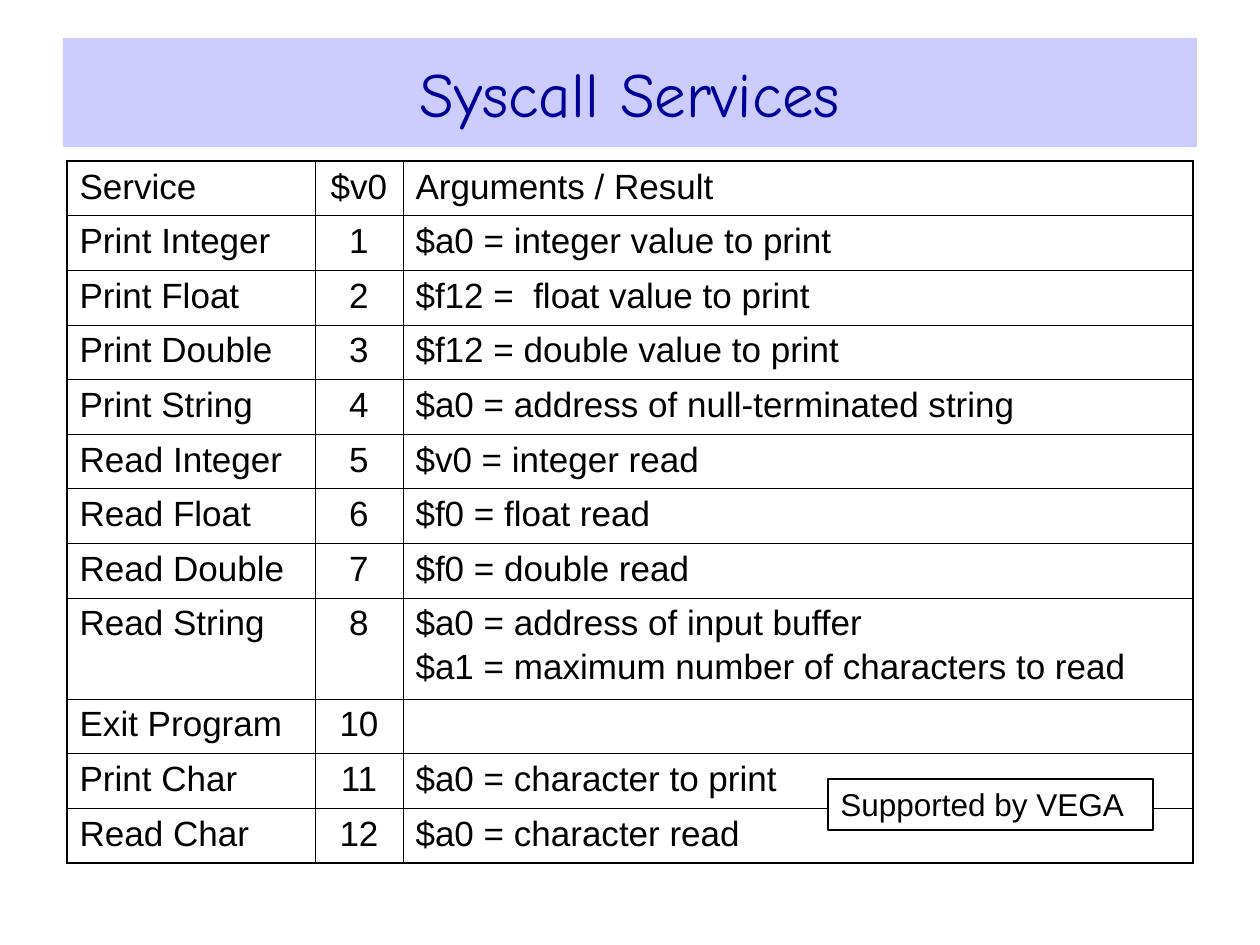
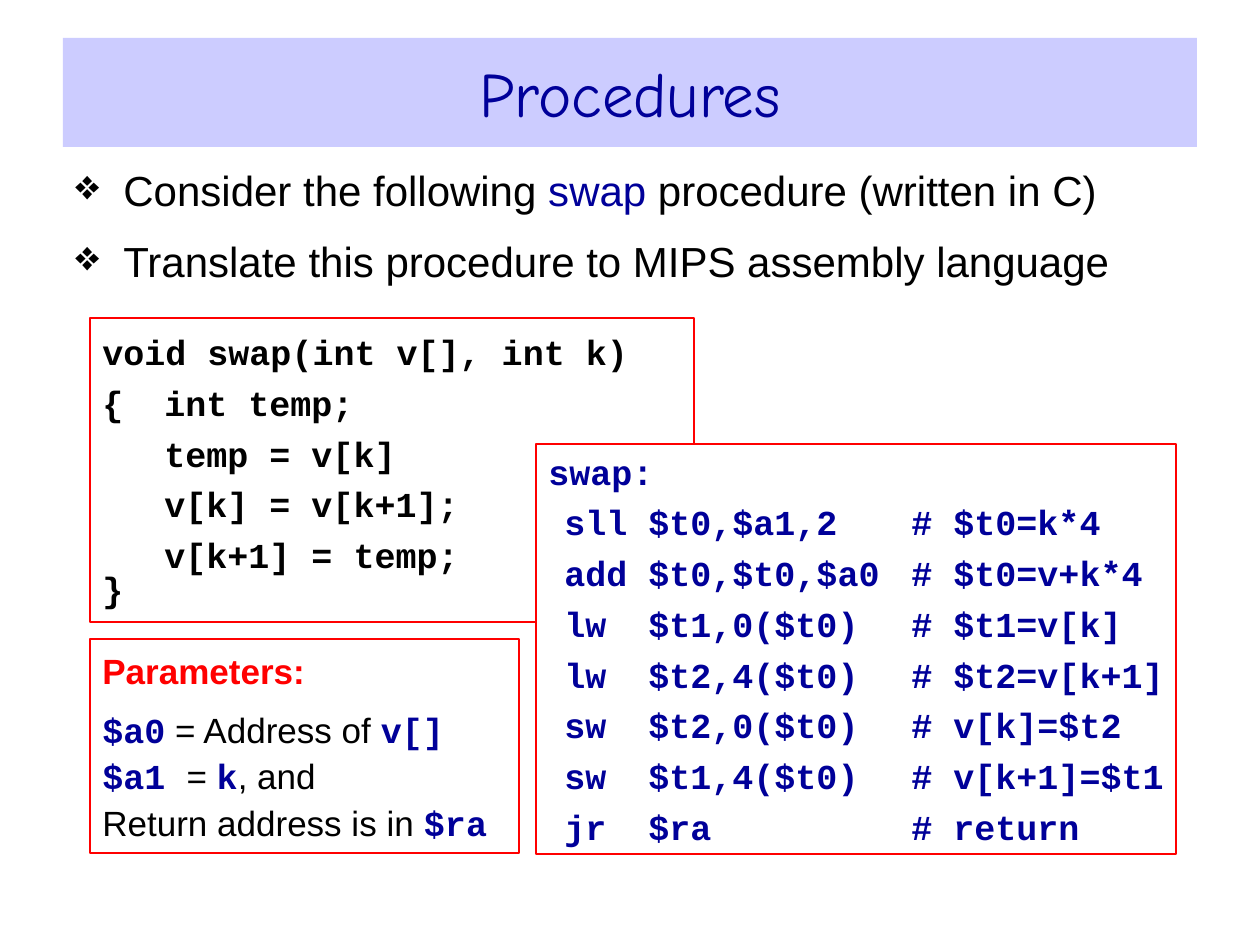
from lxml.etree import SubElement
from pptx import Presentation
from pptx.dml.color import RGBColor
from pptx.enum.shapes import MSO_SHAPE as Shape
from pptx.enum.text import MSO_ANCHOR as Anchor, PP_ALIGN as Align
from pptx.oxml.ns import qn
from pptx.util import Emu, Pt

BLACK = RGBColor(0, 0, 0)
WHITE = RGBColor(255, 255, 255)
NAVY = RGBColor(0, 0, 153)
RED = RGBColor(255, 0, 0)
LAVENDER = RGBColor(204, 204, 255)
PX = 914400 / 126

TITLE = ("Comic Neue", 36, False, NAVY)
BODY = ("Arial", 24, False, BLACK)
BODY_KEY = ("Arial", 24, False, NAVY)
PLAIN = ("Arial", 20, False, BLACK)
HEADING = ("Arial", 20, True, RED)
BADGE = ("Arial", 18, False, BLACK)
C_CODE = ("Courier New", 20, True, BLACK)
MIPS_CODE = ("Courier New", 20, True, NAVY)

TITLE_BOX = (63, 38, 1134, 109)
TABLE_BOX = (67, 161, 1126, 702)
COLUMN_WIDTHS = (248, 88, 790)
TALL_ROW = 101
BADGE_BOX = (828, 779, 325, 51)
BULLETS_BOX = (63, 158, 1134, 709)
C_BOX = (90, 318, 604, 304)
PARAMETERS_BOX = (90, 639, 429, 214)
MIPS_BOX = (536, 444, 640, 410)
C_TABS = (62,)
MIPS_TABS = (16, 100, 363)
BULLET_INDENT = 48

SERVICES = [
    ("Service", "$v0", ["Arguments / Result"]),
    ("Print Integer", "1", ["$a0 = integer value to print"]),
    ("Print Float", "2", ["$f12 =  float value to print"]),
    ("Print Double", "3", ["$f12 = double value to print"]),
    ("Print String", "4", ["$a0 = address of null-terminated string"]),
    ("Read Integer", "5", ["$v0 = integer read"]),
    ("Read Float", "6", ["$f0 = float read"]),
    ("Read Double", "7", ["$f0 = double read"]),
    ("Read String", "8", ["$a0 = address of input buffer",
                          "$a1 = maximum number of characters to read"]),
    ("Exit Program", "10", []),
    ("Print Char", "11", ["$a0 = character to print"]),
    ("Read Char", "12", ["$a0 = character read"]),
]
BULLETS = [
    [("Consider the following ", BODY), ("swap", BODY_KEY),
     (" procedure (written in C)", BODY)],
    [("Translate this procedure to MIPS assembly language", BODY)],
]
PARAMETERS = [
    [("Parameters:", HEADING)],
    [("$a0", MIPS_CODE), (" = Address of ", PLAIN), ("v[]", MIPS_CODE)],
    [("$a1 ", MIPS_CODE), ("= ", PLAIN), ("k", MIPS_CODE), (", and", PLAIN)],
    [("Return address is in ", PLAIN), ("$ra", MIPS_CODE)],
]
C_LINES = [
    "void swap(int v[], int k)",
    "{\tint temp;",
    "\ttemp = v[k]",
    "\tv[k] = v[k+1];",
    "\tv[k+1] = temp;",
    "}",
]
MIPS_LINES = [
    "swap:",
    "\tsll\t$t0,$a1,2\t# $t0=k*4",
    "\tadd\t$t0,$t0,$a0\t# $t0=v+k*4",
    "\tlw\t$t1,0($t0)\t# $t1=v[k]",
    "\tlw\t$t2,4($t0)\t# $t2=v[k+1]",
    "\tsw\t$t2,0($t0)\t# v[k]=$t2",
    "\tsw\t$t1,4($t0)\t# v[k+1]=$t1",
    "\tjr\t$ra\t# return",
]


def px(length):
    return Emu(round(length * PX))


def place(box):
    return [px(length) for length in box]


def styled(lines, style):
    return [[(line, style)] for line in lines]


def write(frame, lines, align=Align.LEFT, before=0, spacing=None, tabs=()):
    for index, runs in enumerate(lines):
        paragraph = frame.add_paragraph() if index else frame.paragraphs[0]
        paragraph.alignment = align
        paragraph.space_before = Pt(before)
        if spacing:
            paragraph.line_spacing = spacing
        for text, (font_name, size, bold, color) in runs:
            run = paragraph.add_run()
            run.text = text
            run.font.name = font_name
            run.font.size = Pt(size)
            run.font.bold = bold
            run.font.color.rgb = color
        if tabs:
            tab_list = SubElement(paragraph._p.get_or_add_pPr(), qn("a:tabLst"))
            for position in tabs:
                SubElement(tab_list, qn("a:tab"), pos=str(px(position)), algn="l")


def add_box(slide, box, lines, fill=None, line=None, anchor=Anchor.TOP,
            wrap=True, **layout):
    shape = slide.shapes.add_shape(Shape.RECTANGLE, *place(box))
    shape.shadow.inherit = False
    if fill is None:
        shape.fill.background()
    else:
        shape.fill.solid()
        shape.fill.fore_color.rgb = fill
    if line is None:
        shape.line.fill.background()
    else:
        shape.line.color.rgb = line
        shape.line.width = Pt(1.5)
    shape.text_frame.word_wrap = wrap
    shape.text_frame.vertical_anchor = anchor
    write(shape.text_frame, lines, **layout)
    return shape


def add_titled_slide(presentation, title):
    slide = presentation.slides.add_slide(presentation.slide_layouts[6])
    add_box(slide, TITLE_BOX, styled([title], TITLE), fill=LAVENDER,
            anchor=Anchor.MIDDLE, align=Align.CENTER)
    return slide


def add_borders(cell, outer_sides):
    properties = cell._tc.get_or_add_tcPr()
    for side in "LRTB":
        width = Pt(1.08) if side in outer_sides else Pt(0.45)
        border = SubElement(properties, qn(f"a:ln{side}"), w=str(width))
        fill = SubElement(border, qn("a:solidFill"))
        SubElement(fill, qn("a:srgbClr"), val=str(BLACK))


def add_services_table(slide):
    last_row, last_column = len(SERVICES) - 1, len(COLUMN_WIDTHS) - 1
    table = slide.shapes.add_table(
        last_row + 1, last_column + 1, *place(TABLE_BOX)).table
    table.first_row = table.horz_banding = False
    for column, width in zip(table.columns, COLUMN_WIDTHS):
        column.width = px(width)
    plain_row = (TABLE_BOX[3] - TALL_ROW) / last_row
    for row, (service, code, arguments) in enumerate(SERVICES):
        table.rows[row].height = px(TALL_ROW if len(arguments) > 1 else plain_row)
        for column, lines in enumerate(([service], [code], arguments)):
            cell = table.cell(row, column)
            edges = {"L": column == 0, "R": column == last_column,
                     "T": row == 0, "B": row == last_row}
            add_borders(cell, [side for side, outer in edges.items() if outer])
            cell.fill.background()
            write(cell.text_frame, styled(lines, PLAIN), before=10,
                  align=Align.CENTER if column == 1 else Align.LEFT)
            for paragraph in cell.text_frame.paragraphs[1:]:
                paragraph.space_before = Pt(2.5)


def add_bullets(slide):
    frame = slide.shapes.add_textbox(*place(BULLETS_BOX)).text_frame
    frame.word_wrap = True
    write(frame, BULLETS, before=12)
    for paragraph in frame.paragraphs:
        properties = paragraph._p.get_or_add_pPr()
        properties.set("marL", str(px(BULLET_INDENT)))
        properties.set("indent", str(-px(BULLET_INDENT)))
        color = SubElement(properties, qn("a:buClr"))
        SubElement(color, qn("a:srgbClr"), val=str(BLACK))
        SubElement(properties, qn("a:buChar"), char="❖")


def build_services(presentation):
    slide = add_titled_slide(presentation, "Syscall Services")
    add_services_table(slide)
    add_box(slide, BADGE_BOX, styled(["Supported by VEGA"], BADGE),
            fill=WHITE, line=BLACK, before=11.2)


def build_procedures(presentation):
    slide = add_titled_slide(presentation, "Procedures")
    parameters = add_box(slide, PARAMETERS_BOX, PARAMETERS, line=RED, spacing=1.1)
    parameters.text_frame.paragraphs[1].space_before = Pt(7.5)
    add_bullets(slide)
    c_code = add_box(slide, C_BOX, styled(C_LINES, C_CODE), line=RED,
                     anchor=Anchor.MIDDLE, before=5, tabs=C_TABS)
    closing_brace = c_code.text_frame.paragraphs[-1]
    closing_brace.space_before = Pt(0)
    closing_brace.line_spacing = 0.8
    add_box(slide, MIPS_BOX, styled(MIPS_LINES, MIPS_CODE), fill=WHITE,
            line=RED, wrap=False, before=5, tabs=MIPS_TABS)


def main():
    presentation = Presentation()
    presentation.slide_width = px(1260)
    presentation.slide_height = px(945)
    build_services(presentation)
    build_procedures(presentation)
    presentation.save("out.pptx")


if __name__ == "__main__":
    main()
